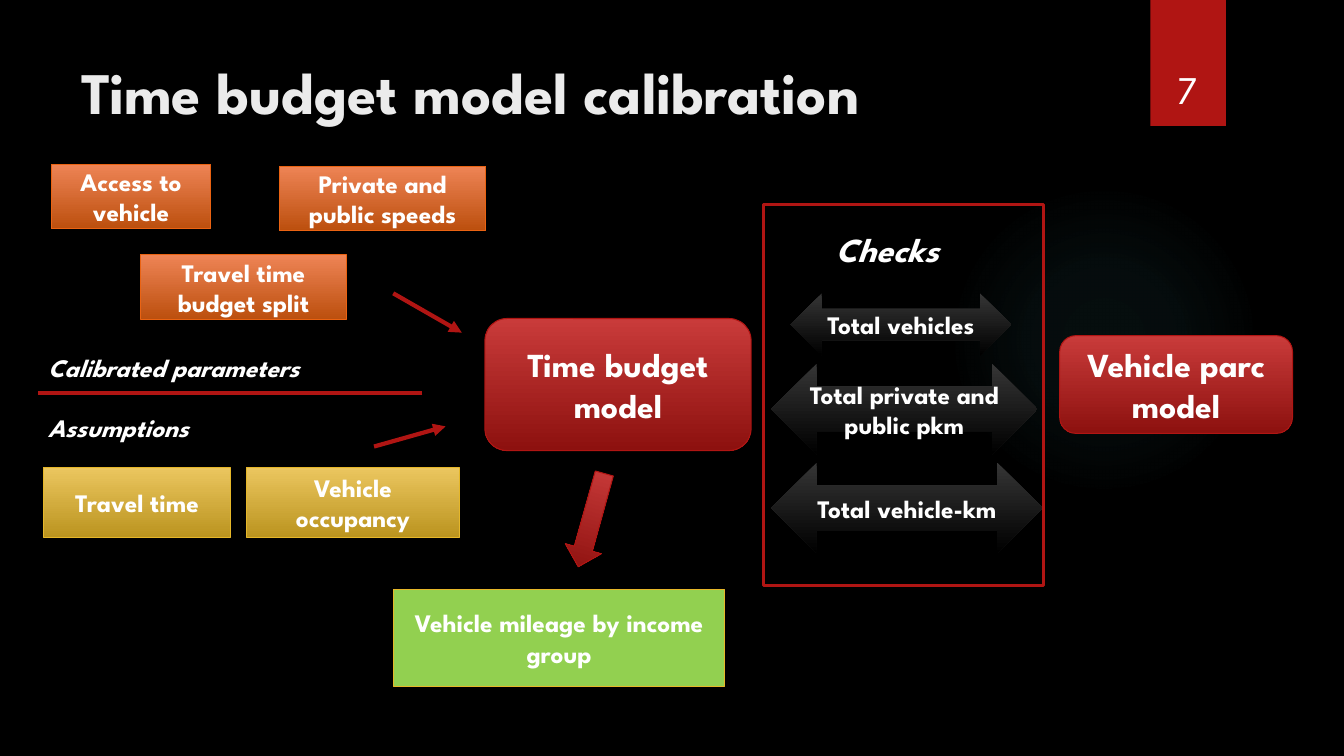
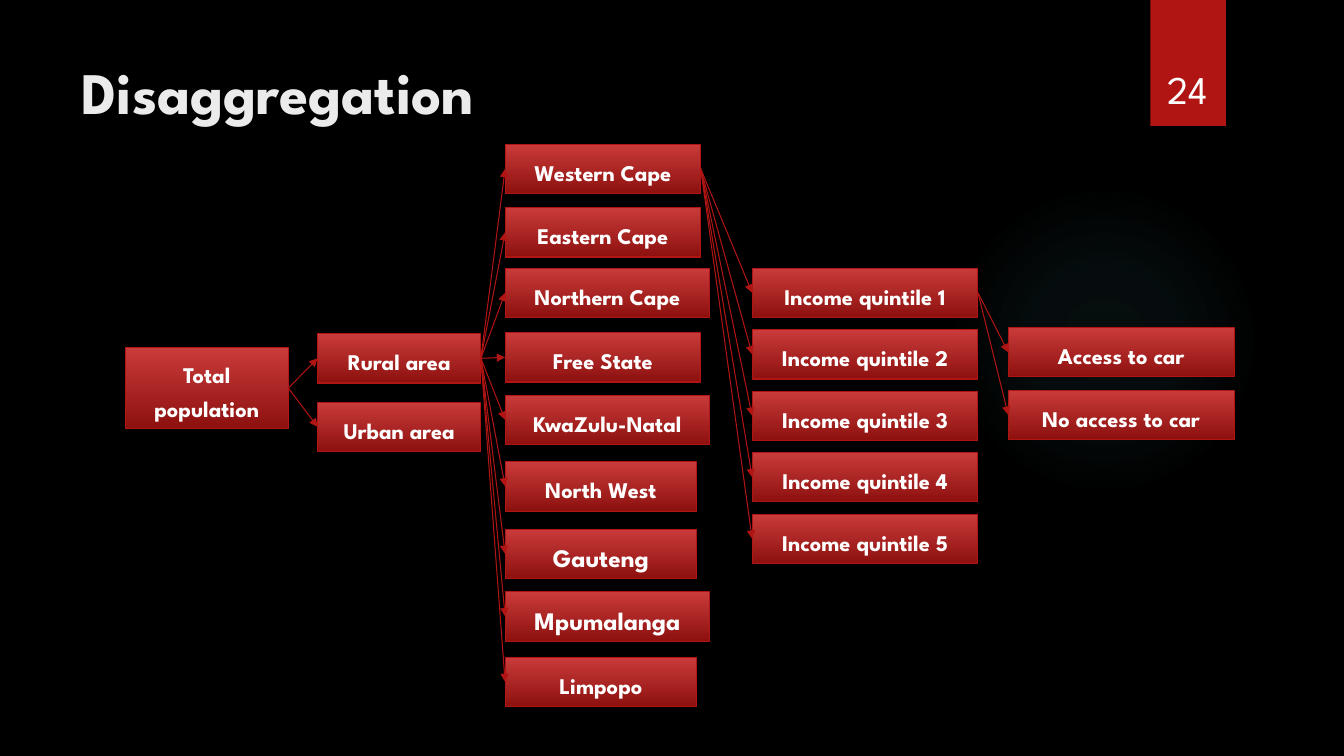
from pptx import Presentation
from pptx.dml.color import RGBColor
from pptx.enum.shapes import MSO_CONNECTOR, MSO_SHAPE
from pptx.enum.text import MSO_ANCHOR, PP_ALIGN
from pptx.oxml import parse_xml
from pptx.oxml.ns import nsdecls, qn
from pptx.util import Inches, Pt
from lxml.etree import SubElement

FONT = "League Spartan"
COLORS = {
    "back": "000000", "title": "EBEBEB", "white": "FFFFFF",
    "glow": "50B9C1", "green": "92D050",
    "red": "B01513", "red_top": "C93B3A", "red_low": "8D110F",
    "orange": "EA6312", "orange_top": "EE8455", "orange_low": "BC4F0E",
    "gold": "E6B729", "gold_top": "EBC65F", "gold_low": "BB941F",
    "dark_top": "353535", "dark_low": "000000",
}
RECT = MSO_SHAPE.RECTANGLE
ROUND = MSO_SHAPE.ROUNDED_RECTANGLE
LEFT, RIGHT = 1, 3


def color(name):
    return RGBColor.from_string(COLORS[name])


class Deck:
    def __init__(self):
        self.prs = Presentation()
        self.prs.slide_width = Inches(13.33)
        self.prs.slide_height = Inches(7.5)
        self.slide = None

    def start(self, title, number):
        """Add a slide with its glow, ribbon, title and number."""
        self.slide = self.prs.slides.add_slide(self.prs.slide_layouts[6])
        back = self.slide.background.fill
        back.solid()
        back.fore_color.rgb = color("back")
        self.glow()
        self.box((11.41, 0, 0.75, 1.25), fill="red")
        self.label(title, (0.71, 0.5, 10.29, 1.53), 42, hue="title")
        self.label(number, (11.32, 0.32, 0.92, 0.84), 28, bold=False,
                   align=PP_ALIGN.CENTER, anchor=MSO_ANCHOR.BOTTOM)

    def glow(self):
        disc = self.box((9.41, 1.83, 3.08, 3.08), kind=MSO_SHAPE.OVAL)
        stops = "".join(
            f'<a:gs pos="{pos}000"><a:srgbClr val="{COLORS["glow"]}">'
            f'<a:alpha val="{alpha}000"/></a:srgbClr></a:gs>'
            for pos, alpha in ((0, 7), (36, 6), (69, 0)))
        grad = parse_xml(
            f'<a:gradFill {nsdecls("a")}><a:gsLst>{stops}</a:gsLst>'
            '<a:path path="circle"><a:fillToRect l="50000" t="50000" '
            'r="50000" b="50000"/></a:path></a:gradFill>')
        props = disc._element.spPr
        props.replace(props.find(qn("a:noFill")), grad)

    def put(self, shape, text, size, hue="white", bold=True, italic=False,
            align=PP_ALIGN.CENTER, anchor=MSO_ANCHOR.MIDDLE):
        """Set the text of a shape and format its run."""
        frame = shape.text_frame
        frame.word_wrap = True
        frame.vertical_anchor = anchor
        frame.text = text
        para = frame.paragraphs[0]
        para.alignment = align
        for run in para.runs:
            font = run.font
            font.name, font.size = FONT, Pt(size)
            font.bold, font.italic = bold, italic
            font.color.rgb = color(hue)

    def label(self, text, at, size, align=PP_ALIGN.LEFT,
              anchor=MSO_ANCHOR.TOP, **style):
        shape = self.slide.shapes.add_textbox(*map(Inches, at))
        self.put(shape, text, size, align=align, anchor=anchor, **style)

    def box(self, at, text="", size=18, kind=RECT, fill=None, shade=None,
            line=None, width=0.75):
        """Draw a shape with a plain fill, a shade from top to low, or none."""
        shape = self.slide.shapes.add_shape(kind, *map(Inches, at))
        shape.shadow.inherit = False
        if shade:
            shape.fill.gradient()
            shape.fill.gradient_angle = 270
            for stop, end in zip(shape.fill.gradient_stops, ("top", "low")):
                stop.color.rgb = color(f"{shade}_{end}")
        elif fill:
            shape.fill.solid()
            shape.fill.fore_color.rgb = color(fill)
        else:
            shape.fill.background()
        if line:
            shape.line.color.rgb = color(line)
            shape.line.width = Pt(width)
        else:
            shape.line.fill.background()
        if text:
            self.put(shape, text, size)
        return shape

    def block(self, at, text="", hue="red", size=18, kind=RECT):
        """Draw a shaded box with an edge of the same hue."""
        return self.box(at, text, size, kind, shade=hue, line=hue)

    def node(self, at, text, size=16):
        shape = self.block(at, text, size=size)
        para = shape.text_frame.paragraphs[0]
        para.line_spacing = 1.25
        para.space_after = Pt(8)
        return shape

    def line(self, ends=(0, 0, 0, 0), width=3, arrow=True):
        wire = self.slide.shapes.add_connector(
            MSO_CONNECTOR.STRAIGHT, *map(Inches, ends))
        wire.line.color.rgb = color("red")
        wire.line.width = Pt(width)
        props = wire._element.spPr
        if arrow:
            SubElement(props.find(qn("a:ln")), qn("a:tailEnd"), type="triangle")
        SubElement(props, qn("a:effectLst"))
        return wire

    def fan(self, source, targets):
        """Join the right side of one box to the left side of others."""
        for target in targets:
            wire = self.line(width=0.75)
            wire.begin_connect(source, RIGHT)
            wire.end_connect(target, LEFT)


def draw_model(deck):
    deck.start("Time budget model calibration", "7")
    deck.block((4.81, 3.16, 2.64, 1.31), "Time budget model", size=24, kind=ROUND)
    deck.block((10.51, 3.33, 2.31, 0.97), "Vehicle parc model", size=24, kind=ROUND)

    for text, left, top, width in (
            ("Access to vehicle", 0.51, 1.63, 1.58),
            ("Private and public speeds", 2.77, 1.65, 2.05),
            ("Travel time budget split", 1.39, 2.53, 2.05)):
        deck.block((left, top, width, 0.64), text, "orange")
    for text, left, width in (("Travel time", 0.43, 1.86),
                              ("Vehicle occupancy", 2.44, 2.12)):
        deck.block((left, 4.64, width, 0.69), text, "gold")

    deck.line((4.19, 3.9, 0.38, 3.9), arrow=False)
    deck.label("Assumptions", (0.38, 4.04, 1.72, 0.4), 18, italic=True)
    deck.label("Calibrated parameters", (0.38, 3.45, 2.98, 0.4), 18, italic=True)

    for text, at in (
            ("Total vehicles", (7.84, 2.91, 2.19, 0.62)),
            ("Total private and public pkm", (7.65, 3.61, 2.64, 0.9)),
            ("Total vehicle-km", (7.65, 4.59, 2.69, 0.9))):
        deck.box(at, text, kind=MSO_SHAPE.LEFT_RIGHT_ARROW, shade="dark")
    deck.box((7.57, 2.03, 2.78, 3.78), line="red", width=2.25)
    deck.label("Checks", (8.19, 2.22, 1.43, 0.5), 24, italic=True)

    deck.line((3.9, 2.91, 4.58, 3.3))
    deck.line((3.71, 4.43, 4.42, 4.23))
    arrow = deck.block((5.68, 4.68, 0.37, 0.96), kind=MSO_SHAPE.DOWN_ARROW)
    arrow.rotation = 15.6
    deck.box((3.9, 5.85, 3.29, 0.96), "Vehicle mileage by income group",
             fill="green", line="gold")


def draw_tree(deck):
    deck.start("Disaggregation", "24")
    high = 0.49
    total = deck.node((1.24, 3.45, 1.62, 0.8), "Total population")
    areas = [deck.node((3.15, top, 1.62, high), text)
             for text, top in (("Rural area", 3.31), ("Urban area", 3.99))]
    parts = [deck.node((5.01, top, width, high), text, size)
             for text, top, width, size in (
                 ("Western Cape", 1.43, 1.94, 16),
                 ("Eastern Cape", 2.06, 1.94, 16),
                 ("Northern Cape", 2.66, 2.03, 16),
                 ("Free State", 3.3, 1.94, 16),
                 ("KwaZulu-Natal", 3.92, 2.03, 16),
                 ("North West", 4.58, 1.9, 16),
                 ("Gauteng", 5.25, 1.9, 18),
                 ("Mpumalanga", 5.87, 2.03, 18),
                 ("Limpopo", 6.52, 1.9, 16))]
    bands = [deck.node((7.46, 2.66 + 0.61 * i, 2.24, high),
                       f"Income quintile {i + 1}") for i in range(5)]
    cars = [deck.node((10, top, 2.24, high), text)
            for text, top in (("Access to car", 3.25), ("No access to car", 3.87))]

    deck.fan(total, areas)
    deck.fan(areas[0], parts)
    deck.fan(parts[0], bands)
    deck.fan(bands[0], cars)


def main():
    deck = Deck()
    draw_model(deck)
    draw_tree(deck)
    deck.prs.save("out.pptx")


if __name__ == "__main__":
    main()
